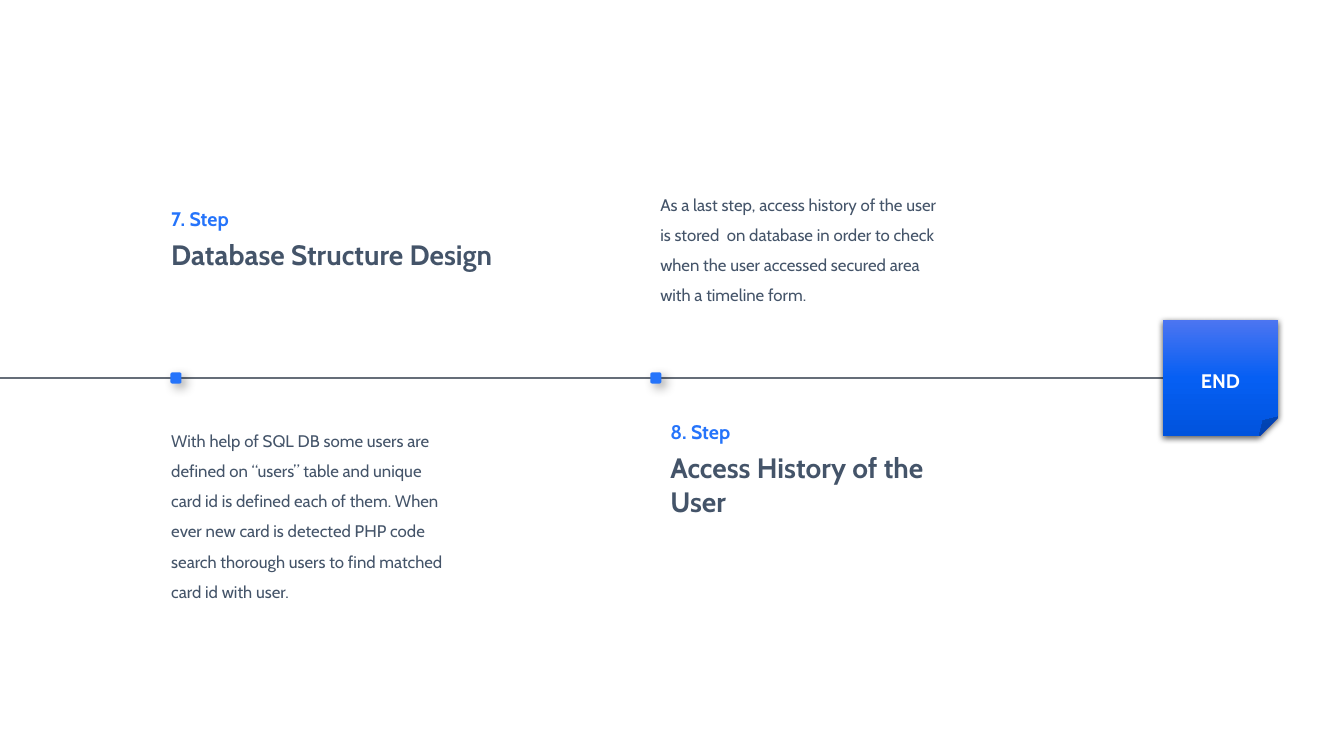
from copy import deepcopy
from dataclasses import dataclass

from lxml.etree import SubElement
from pptx import Presentation
from pptx.dml.color import RGBColor
from pptx.enum.shapes import MSO_CONNECTOR, MSO_SHAPE
from pptx.enum.text import MSO_ANCHOR, MSO_AUTO_SIZE, PP_ALIGN
from pptx.oxml.ns import qn
from pptx.util import Inches, Pt


@dataclass(frozen=True)
class Theme:
    """Font, colours and type sizes of the timeline."""
    font: str = "Cabin"
    accent: str = "2574FB"
    ink: str = "445469"
    axis: str = "656D78"
    white: str = "FFFFFF"
    shadow: str = "000000"
    note: tuple = ((0, "4C75F1"), (0.5, "065FF3"), (1, "0053DD"))
    label_size: int = 14
    title_size: int = 20
    body_size: int = 12


class TimelineSlide:
    """Holds the theme and the slide, and draws the timeline's elements."""

    def __init__(self, slide, theme):
        """Keep the slide and its style."""
        self.shapes = slide.shapes
        self.theme = theme

    def style(self, paragraph, size, color, bold=False):
        """Format every run of a paragraph."""
        for run in paragraph.runs:
            run.font.name = self.theme.font
            run.font.size = Pt(size)
            run.font.bold = bold
            run.font.color.rgb = RGBColor.from_string(color)

    def cast_shadow(self, shape, opacity, blur, distance, angle):
        """Give a shape an outer shadow."""
        shape.shadow.inherit = False
        effects = shape._element.spPr.find(qn("a:effectLst"))
        outer = SubElement(effects, qn("a:outerShdw"), blurRad=str(Pt(blur)),
                           dist=str(Pt(distance)), dir=str(angle * 60000),
                           algn="ctr", rotWithShape="0")
        color = SubElement(outer, qn("a:srgbClr"), val=self.theme.shadow)
        SubElement(color, qn("a:alpha"), val=str(opacity * 1000))

    def axis(self, y, end):
        """Draw the timeline from the slide's left edge."""
        line = self.shapes.add_connector(MSO_CONNECTOR.STRAIGHT, 0, Inches(y),
                                         Inches(end), Inches(y))
        line.line.color.rgb = RGBColor.from_string(self.theme.axis)
        line.line.width = Pt(0.75)
        SubElement(line._element.spPr, qn("a:effectLst"))

    def marker(self, left, y, size=0.11):
        """Put a small square on the timeline."""
        square = self.shapes.add_shape(
            MSO_SHAPE.ROUNDED_RECTANGLE, Inches(left), Inches(y - size / 2),
            Inches(size), Inches(size))
        square.fill.solid()
        square.fill.fore_color.rgb = RGBColor.from_string(self.theme.accent)
        square.line.fill.background()
        self.cast_shadow(square, 40, 8, 4, 45)

    def end_note(self, text, left, top, size):
        """Draw the folded note that closes the timeline."""
        note = self.shapes.add_shape(MSO_SHAPE.FOLDED_CORNER, Inches(left),
                                     Inches(top), Inches(size), Inches(size))
        note.line.fill.background()
        note.fill.gradient()
        note.fill.gradient_angle = 270
        stop_list = note._element.spPr.find(".//" + qn("a:gsLst"))
        stop_list.insert(1, deepcopy(stop_list[0]))
        for stop, (position, color) in zip(note.fill.gradient_stops,
                                           self.theme.note):
            stop.position = position
            stop.color.rgb = RGBColor.from_string(color)
        self.cast_shadow(note, 63, 4.5, 1.5, 90)
        frame = note.text_frame
        frame.margin_left = frame.margin_right = frame.margin_bottom = 0
        frame.margin_top = Inches(0.24)
        frame.vertical_anchor = MSO_ANCHOR.MIDDLE
        frame.text = text
        caption = frame.paragraphs[0]
        caption.alignment = PP_ALIGN.CENTER
        self.style(caption, self.theme.label_size, self.theme.white, True)

    def text_box(self, text, left, top, width, height):
        """Add a wrapping text box and return its paragraphs."""
        frame = self.shapes.add_textbox(Inches(left), Inches(top),
                                        Inches(width), Inches(height)).text_frame
        frame.word_wrap = True
        frame.auto_size = MSO_AUTO_SIZE.SHAPE_TO_FIT_TEXT
        frame.text = text
        return frame.paragraphs

    def heading(self, step, title, box):
        """Write a step number above its title."""
        label, name = self.text_box(f"{step}. Step\n{title}", *box)
        name.space_before = Pt(5)
        self.style(label, self.theme.label_size, self.theme.accent, True)
        self.style(name, self.theme.title_size, self.theme.ink, True)

    def description(self, text, box):
        """Write a step's description."""
        body = self.text_box(text, *box)[0]
        body.line_spacing = 1.5
        self.style(body, self.theme.body_size, self.theme.ink)


AXIS_Y, AXIS_END, NOTE_SIZE = 3.75, 11.53, 1.15

# step, title, description, marker left, heading box, description box
STEPS = [
    (7, "Database Structure Design",
     "With help of SQL DB some users are defined on \u201cusers\u201d table and "
     "unique card id is defined each of them. When ever new card is detected "
     "PHP code search thorough users to find matched card id with user.",
     1.69, (1.6, 2, 3.42, 1.08), (1.6, 4.12, 2.92, 1.92)),
    (8, "Access History of the User",
     "As a last step, access history of the user is stored  on database in "
     "order to check when the user accessed secured area with a timeline form.",
     6.45, (6.55, 4.12, 3.13, 1.08), (6.45, 1.78, 2.95, 1.31)),
]


def main():
    """Build the slide and save it."""
    deck = Presentation()
    deck.slide_width, deck.slide_height = Inches(13.33), Inches(7.5)
    timeline = TimelineSlide(deck.slides.add_slide(deck.slide_layouts[6]), Theme())
    timeline.axis(AXIS_Y, AXIS_END)
    timeline.end_note("END", AXIS_END, AXIS_Y - NOTE_SIZE / 2, NOTE_SIZE)
    for step, title, details, marker_left, heading_box, details_box in STEPS:
        timeline.marker(marker_left, AXIS_Y)
        timeline.heading(step, title, heading_box)
        timeline.description(details, details_box)
    deck.save("out.pptx")


main()
